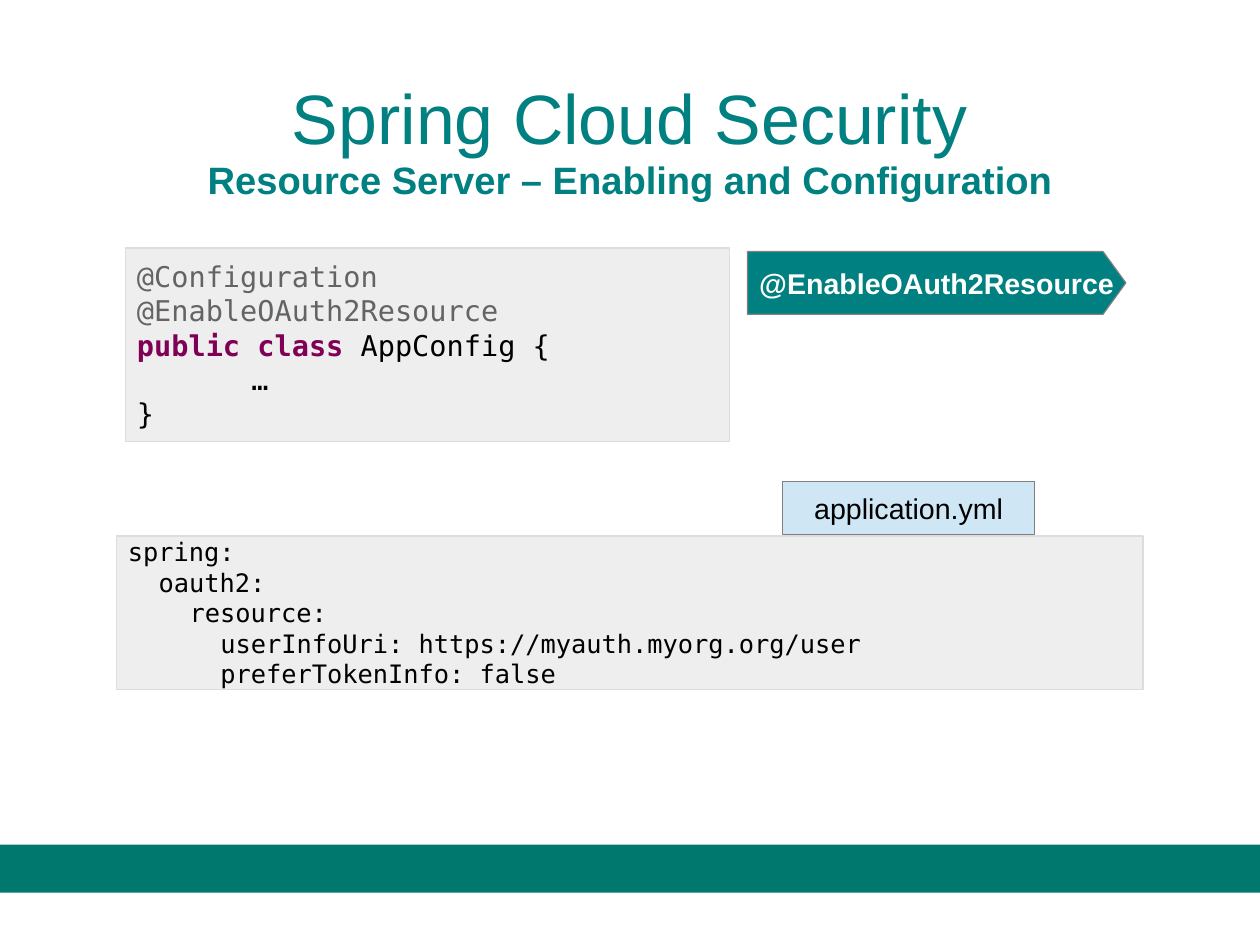
from pptx import Presentation
from pptx.dml.color import RGBColor
from pptx.enum.shapes import MSO_SHAPE as SHAPE
from pptx.enum.text import MSO_ANCHOR as ANCHOR, PP_ALIGN as ALIGN
from pptx.util import Inches, Pt

COLORS = {
    "bar": "00786E", "teal": "008080", "code_fill": "EEEEEE",
    "code_line": "DDDDDD", "file_fill": "CFE7F5", "line": "808080",
    "annotation": "646464", "keyword": "7F0055", "black": "000000",
    "white": "FFFFFF",
}
SANS, MONO = "Arial", "DejaVu Sans Mono"
CM_PER_INCH = 2.54
WIDTH, HEIGHT = 28 / CM_PER_INCH, 21 / CM_PER_INCH
YAML_STEP = 0.27


def rgb(name):
    return RGBColor.from_string(COLORS[name])


def paint(sp, fill, line=None):
    sp.shadow.inherit = False
    sp.fill.solid()
    sp.fill.fore_color.rgb = rgb(fill)
    if line:
        sp.line.color.rgb = rgb(line)
        sp.line.width = Pt(0)
    else:
        sp.line.fill.background()


def add_run(p, text, size, font, color, bold=False):
    r = p.add_run()
    r.text = text
    r.font.size = Pt(size)
    r.font.name = font
    r.font.bold = bold
    r.font.color.rgb = rgb(color)


def add_label(tf, text, size, color, bold=False):
    p = tf.paragraphs[0]
    p.alignment = ALIGN.CENTER
    add_run(p, text, size, SANS, color, bold)


def add_box(s, box, fill, line=None):
    sp = s.shapes.add_shape(SHAPE.RECTANGLE, *map(Inches, box))
    paint(sp, fill, line)
    sp.text_frame.word_wrap = True
    sp.text_frame.vertical_anchor = ANCHOR.MIDDLE
    return sp


def add_heading(s, box, title, subtitle):
    x, y, w, h = box
    sp = s.shapes.title
    margin = 0.55
    sp.left, sp.top = Inches(x + margin), Inches(y)
    sp.width, sp.height = Inches(w - 2 * margin), Inches(h)
    tf = sp.text_frame
    tf.margin_left = tf.margin_right = tf.margin_top = tf.margin_bottom = 0
    tf.vertical_anchor = ANCHOR.MIDDLE
    add_label(tf, title, 44, "teal")

    sp = s.shapes.add_textbox(Inches(x), Inches(y + 0.99), Inches(w), Inches(0.5))
    sp.text_frame.word_wrap = True
    add_label(sp.text_frame, subtitle, 24, "teal", True)


def add_code(s, box, size, lines):
    tf = add_box(s, box, "code_fill", "code_line").text_frame
    for i, (indent, runs) in enumerate(lines):
        p = tf.add_paragraph() if i else tf.paragraphs[0]
        p.alignment = ALIGN.LEFT
        pPr = p._p.get_or_add_pPr()
        pPr.set("marL", str(Inches(indent)))
        pPr.set("indent", "0")
        for text, color, bold in runs:
            add_run(p, text, size, MONO, color, bold)


def add_file_tab(s, box, name):
    tf = add_box(s, box, "file_fill", "line").text_frame
    add_label(tf, name, 18, "black")


def add_tag(s, box, text):
    x, y, w, h = box
    tip = 0.2
    outline = [(x + w - tip, y), (x + w, y + h / 2), (x + w - tip, y + h), (x, y + h)]
    fb = s.shapes.build_freeform(Inches(x), Inches(y))
    fb.add_line_segments([(Inches(px), Inches(py)) for px, py in outline], close=True)
    sp = fb.convert_to_shape()
    paint(sp, "teal", "line")
    tf = sp.text_frame
    tf.word_wrap = False
    tf.vertical_anchor = ANCHOR.MIDDLE
    add_label(tf, text, 18, "white", True)


def main():
    prs = Presentation()
    prs.slide_width, prs.slide_height = Inches(WIDTH), Inches(HEIGHT)
    s = prs.slides.add_slide(prs.slide_layouts[5])

    add_box(s, (0, 7.39, WIDTH, 0.42), "bar")
    add_heading(s, (0, 0.33, WIDTH, 1.38), "Spring Cloud Security",
                "Resource Server – Enabling and Configuration")
    add_code(s, (1.1, 2.17, 5.28, 1.69), 18, [
        (0, [("@Configuration", "annotation", False)]),
        (0, [("@EnableOAuth2Resource", "annotation", False)]),
        (0, [("public class", "keyword", True), (" AppConfig {", "black", False)]),
        (1, [("…", "black", False)]),
        (0, [("}", "black", False)]),
    ])
    add_file_tab(s, (6.85, 4.21, 2.2, 0.47), "application.yml")
    yaml = [
        (0, "spring:"),
        (1, "oauth2:"),
        (2, "resource:"),
        (3, "userInfoUri: https://myauth.myorg.org/user"),
        (3, "preferTokenInfo: false"),
    ]
    add_code(s, (1.02, 4.69, 8.98, 1.34), 16, [
        (level * YAML_STEP, [(text, "black", False)]) for level, text in yaml
    ])
    add_tag(s, (6.54, 2.2, 3.31, 0.55), "@EnableOAuth2Resource")
    prs.save("out.pptx")


if __name__ == "__main__":
    main()
